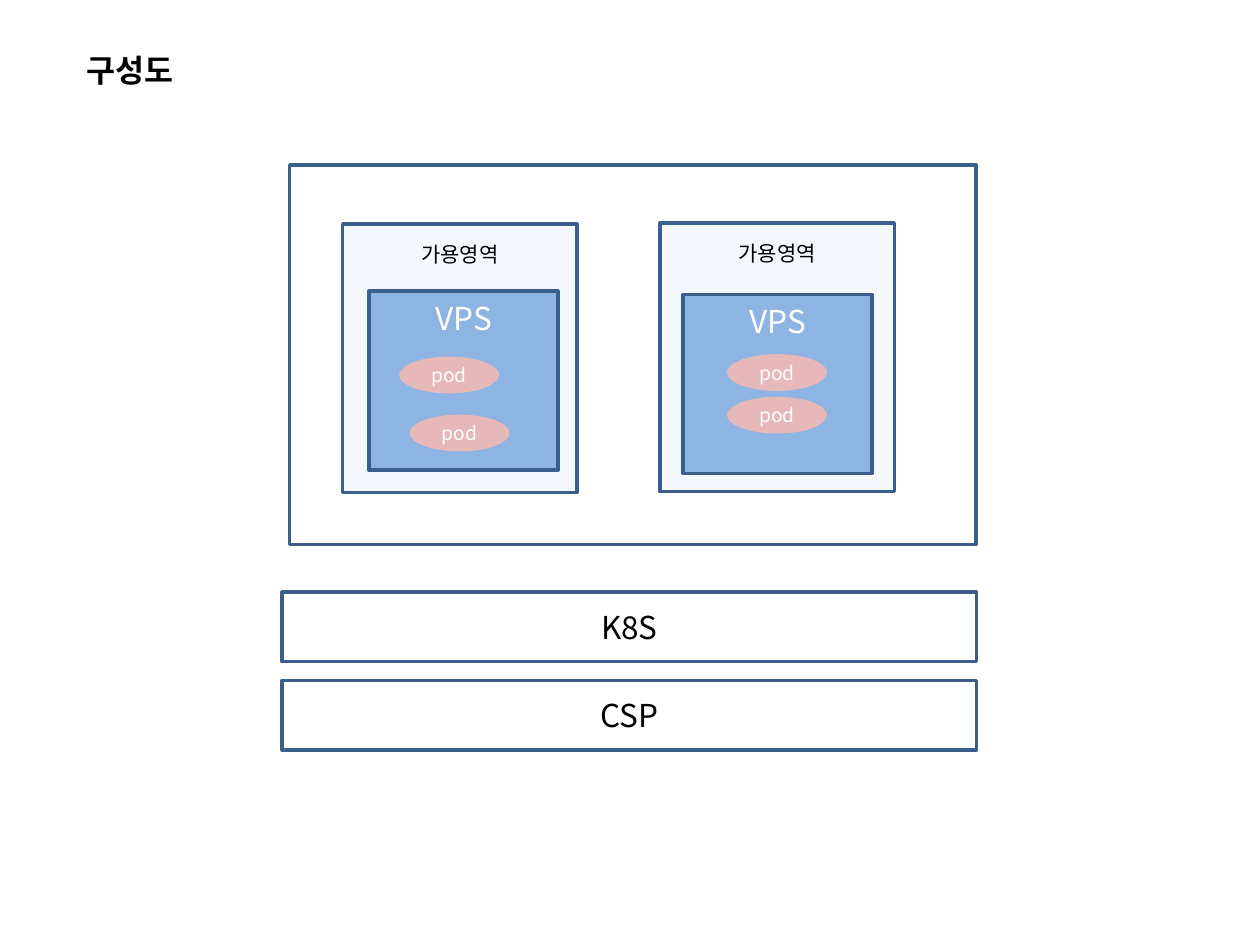
from lxml import etree
from pptx import Presentation
from pptx.dml.color import RGBColor
from pptx.enum.shapes import MSO_SHAPE
from pptx.enum.text import MSO_ANCHOR, PP_ALIGN
from pptx.oxml.ns import qn
from pptx.util import Cm, Pt

RECTANGLE, ELLIPSE = MSO_SHAPE.RECTANGLE, MSO_SHAPE.OVAL
TOP, MIDDLE = MSO_ANCHOR.TOP, MSO_ANCHOR.MIDDLE
LEFT, CENTER = PP_ALIGN.LEFT, PP_ALIGN.CENTER


def color(value):
    return RGBColor.from_string(value)


class Diagram:
    font = "Noto Sans CJK KR"
    outline, black, white = "3A5F8C", "000000", "FFFFFF"
    zone_fill, node_fill, pod_fill = "C6D9F1", "8EB4E3", "E6B9B8"

    def __init__(self, page):
        self.page = page

    def label(self, frame, text, size, ink, align=CENTER, bold=False):
        frame.word_wrap = True
        frame.text = text
        para = frame.paragraphs[0]
        para.alignment = align
        span = para.runs[0]
        span.font.name = self.font
        span.font.size = Pt(size)
        span.font.bold = bold
        span.font.color.rgb = color(ink)
        east_asian = etree.SubElement(span.font._element, qn("a:ea"))
        east_asian.set("typeface", self.font)

    def shape(self, kind, left, top, width, height, fill=None, outlined=True):
        shape = self.page.shapes.add_shape(
            kind, Cm(left), Cm(top), Cm(width), Cm(height))
        shape.shadow.inherit = False
        if fill:
            shape.fill.solid()
            shape.fill.fore_color.rgb = color(fill)
        else:
            shape.fill.background()
        if outlined:
            shape.line.color.rgb = color(self.outline)
            shape.line.width = Pt(2)
        else:
            shape.line.fill.background()
        shape.text_frame.vertical_anchor = MIDDLE
        return shape

    def title(self, text):
        box = self.page.shapes.add_textbox(Cm(1.5), Cm(0.91), Cm(12), Cm(1.02))
        self.label(box.text_frame, text, 18, self.black, LEFT, bold=True)

    def cluster(self):
        self.shape(RECTANGLE, 5.84, 3.33, 13.84, 7.65)

    def layer(self, text, top):
        bar = self.shape(RECTANGLE, 5.69, top, 14, 1.4)
        self.label(bar.text_frame, text, 18, self.black)

    def headed_box(self, box, text, size, ink, inset):
        box.text_frame.vertical_anchor = TOP
        box.text_frame.margin_top = Cm(inset)
        self.label(box.text_frame, text, size, ink)

    def zone(self, text, left, top):
        box = self.shape(RECTANGLE, left, top, 4.72, 5.41, self.zone_fill)
        tint = box._element.spPr.find(qn("a:solidFill"))[0]
        etree.SubElement(tint, qn("a:alpha")).set("val", "19000")
        self.headed_box(box, text, 12, self.black, 0.34)

    def node(self, text, left, top):
        box = self.shape(RECTANGLE, left, top, 3.81, 3.61, self.node_fill)
        self.headed_box(box, text, 18, self.white, 0.15)

    def pod(self, left, top):
        oval = self.shape(ELLIPSE, left, top, 2.01, 0.74, self.pod_fill, False)
        self.label(oval.text_frame, "pod", 11, self.white)


def main():
    deck = Presentation()
    deck.slide_width, deck.slide_height = Cm(25.4), Cm(19.05)
    diagram = Diagram(deck.slides.add_slide(deck.slide_layouts[6]))

    # Title and cluster frame
    diagram.title("구성도")
    diagram.cluster()

    # Availability zones, each with a node and its pods
    zones = [
        ((6.91, 4.52), (7.44, 5.87), [(8.05, 7.19), (8.26, 8.36)]),
        ((13.31, 4.5), (13.77, 5.94), [(14.66, 7.14), (14.66, 8.0)]),
    ]
    for zone, node, pods in zones:
        diagram.zone("가용영역", *zone)
        diagram.node("VPS", *node)
        for pod in pods:
            diagram.pod(*pod)

    # Platform layers
    for text, top in (("K8S", 11.94), ("CSP", 13.72)):
        diagram.layer(text, top)

    deck.save("out.pptx")


if __name__ == "__main__":
    main()
